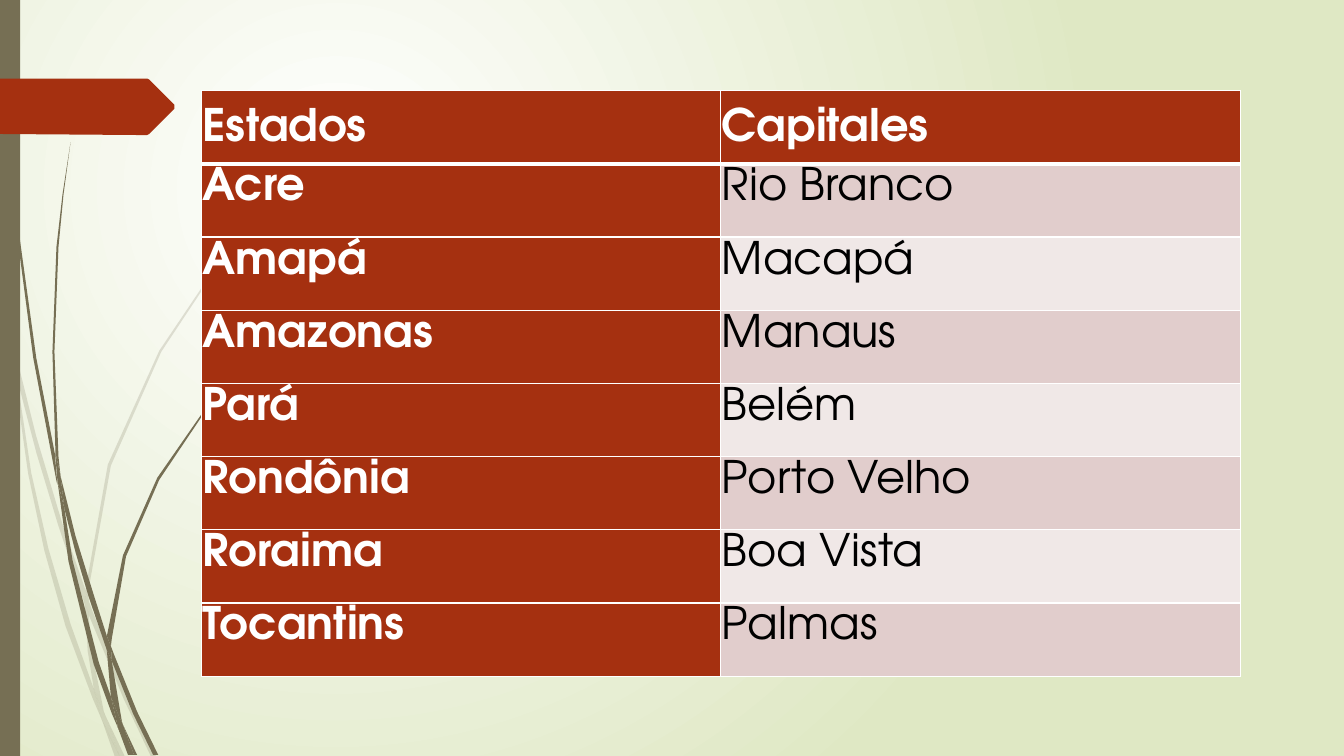
from dataclasses import dataclass
from typing import NamedTuple

from lxml import etree
from pptx import Presentation
from pptx.dml.color import RGBColor
from pptx.enum.shapes import MSO_SHAPE
from pptx.enum.text import MSO_ANCHOR
from pptx.oxml.ns import qn
from pptx.util import Emu, Pt

RECTANGLE = MSO_SHAPE.RECTANGLE
TOP, MIDDLE = MSO_ANCHOR.TOP, MSO_ANCHOR.MIDDLE

# The layout grid: 1333 columns by 750 rows, a hundredth of an inch each
GRID = 9144
COLUMNS, ROWS = 1333, 750


@dataclass(frozen=True)
class Theme:
    font: str = "TeX Gyre Adventor"
    size: int = 32
    line_spacing: float = 1.07
    paragraph_gap: float = 22.5
    glow: str = "FFFFFF"
    backdrop: str = "DFE8C4"
    grass: str = "766F54"
    accent: str = "A53010"
    light: str = "FFFFFF"
    dark: str = "000000"
    bands: tuple[str, str] = ("E1CDCC", "F0E8E7")
    thin: int = 1
    thick: int = 3


class StateRow(NamedTuple):
    state: str
    capital: str


class Grass(NamedTuple):
    opacity: int
    pieces: list


THEME = Theme()

STATES = [
    StateRow("Estados", "Capitales"),
    StateRow("Acre", "Rio Branco"),
    StateRow("Amapá", "Macapá"),
    StateRow("Amazonas", "Manaus"),
    StateRow("Pará", "Belém"),
    StateRow("Rondônia", "Porto Velho"),
    StateRow("Roraima", "Boa Vista"),
    StateRow("Tocantins", "Palmas"),
]

# Outlines of the grass blades, as (column, row) corners
PALE_GRASS = Grass(20, [
    [(11, 350), (9, 322), (0, 282), (0, 299), (10, 344)],
    [(58, 522), (84, 599), (85, 586), (62, 520), (36, 433), (14, 345), (17, 376), (36, 449)],
    [(92, 607), (88, 596), (88, 610), (123, 694), (150, 751), (155, 751), (127, 692)],
    [(119, 751), (124, 751), (105, 711)],
    [(93, 683), (70, 619), (48, 544), (31, 469), (17, 376), (11, 350), (28, 470), (44, 546),
     (65, 621), (92, 693), (101, 714), (99, 707)],
    [(84, 599), (87, 646), (93, 683), (96, 692), (105, 711), (103, 706), (91, 646), (88, 610),
     (88, 608)],
    [(88, 584), (110, 462), (160, 349), (229, 245), (268, 198), (290, 175), (312, 154),
     (312, 153), (289, 175), (268, 197), (228, 244), (158, 348), (107, 461), (85, 584),
     (85, 586), (88, 596)],
    [(101, 714), (114, 751), (119, 751)],
    [(88, 608), (88, 610), (88, 596), (85, 586), (84, 599)],
    [(96, 692), (93, 683), (99, 707), (101, 714), (119, 751), (105, 711)],
])
DARK_GRASS = Grass(100, [
    [(7, 110), (17, 233), (33, 355), (56, 477), (57, 481), (55, 457), (55, 453), (36, 355),
     (19, 232), (8, 109), (5, 48), (4, 0), (3, 0), (4, 48)],
    [(88, 592), (106, 645), (106, 633), (106, 631), (93, 590), (75, 532), (60, 472), (64, 505),
     (75, 548)],
    [(113, 649), (110, 641), (111, 656), (132, 708), (152, 749), (157, 749), (136, 706)],
    [(110, 691), (98, 657), (72, 556), (64, 505), (57, 477), (68, 557), (93, 659), (111, 708),
     (117, 722), (116, 717)],
    [(60, 472), (58, 453), (54, 349), (58, 245), (63, 193), (70, 141), (62, 193), (56, 245),
     (52, 349), (55, 449)],
    [(133, 749), (136, 749), (122, 719)],
    [(57, 477), (64, 505), (60, 472), (55, 449), (55, 453)],
    [(111, 633), (125, 552), (158, 476), (205, 406), (231, 374), (245, 359), (261, 344),
     (260, 344), (245, 358), (231, 373), (204, 405), (156, 474), (122, 551), (106, 631),
     (110, 641)],
    [(117, 722), (127, 749), (131, 749)],
    [(106, 645), (110, 691), (116, 706), (122, 719), (121, 716), (111, 656), (109, 651)],
    [(106, 645), (109, 651), (111, 656), (110, 641), (106, 631), (106, 633)],
    [(116, 706), (110, 691), (116, 717), (117, 722), (130, 749), (133, 749), (122, 719)],
])
BANNER = [(173, 108), (148, 133), (146, 134), (136, 134), (0, 133), (0, 78), (146, 78),
          (148, 79), (173, 104)]


def grid(units: float) -> Emu:
    return Emu(round(units * GRID))


def paint(sp, color: str, opacity: int = 100) -> None:
    sp.shadow.inherit = False
    sp.line.fill.background()
    sp.fill.solid()
    sp.fill.fore_color.rgb = RGBColor.from_string(color)
    if opacity < 100:
        clr = sp.element.spPr.find(f"{qn('a:solidFill')}/{qn('a:srgbClr')}")
        etree.SubElement(clr, qn("a:alpha"), val=str(opacity * 1000))


def draw_outline(shapes, points: list, color: str, opacity: int = 100) -> None:
    builder = shapes.build_freeform(*points[0], scale=GRID)
    builder.add_line_segments(points[1:], close=True)
    paint(builder.convert_to_shape(), color, opacity)


def draw_background(slide) -> None:
    fill = slide.background.fill
    fill.gradient()
    for stop, color in zip(fill.gradient_stops, (THEME.glow, THEME.backdrop)):
        stop.color.rgb = RGBColor.from_string(color)
    grad = next(slide.element.iter(qn("a:gradFill")))
    grad.remove(grad.find(qn("a:lin")))
    circle = etree.SubElement(grad, qn("a:path"), path="circle")
    etree.SubElement(circle, qn("a:fillToRect"), l="50000", t="50000", r="100000", b="100000")


def set_borders(cell, top: int, bottom: int) -> None:
    tc_pr = cell._tc.get_or_add_tcPr()
    widths = {"a:lnL": THEME.thin, "a:lnR": THEME.thin, "a:lnT": top, "a:lnB": bottom}
    for i, (tag, width) in enumerate(widths.items()):
        ln = etree.Element(qn(tag), w=str(Pt(width)))
        solid = etree.SubElement(ln, qn("a:solidFill"))
        etree.SubElement(solid, qn("a:srgbClr"), val=THEME.light)
        tc_pr.insert(i, ln)


def fill_cell(cell, text: str, row: int, col: int) -> None:
    strong = row == 0 or col == 0
    cell.fill.solid()
    cell.fill.fore_color.rgb = RGBColor.from_string(
        THEME.accent if strong else THEME.bands[(row - 1) % 2])
    cell.margin_left = cell.margin_right = cell.margin_top = cell.margin_bottom = grid(1)
    cell.vertical_anchor = MIDDLE if row == 0 else TOP
    set_borders(cell, top=THEME.thick if row == 1 else THEME.thin,
                bottom=THEME.thick if row == 0 else THEME.thin)
    cell.text = text
    p = cell.text_frame.paragraphs[0]
    p.line_spacing = THEME.line_spacing
    p.space_before = p.space_after = Pt(THEME.paragraph_gap)
    p.font.name = THEME.font
    p.font.size = Pt(THEME.size)
    p.font.bold = strong
    p.font.color.rgb = RGBColor.from_string(THEME.light if strong else THEME.dark)


def draw_table(slide, rows: list[StateRow]) -> None:
    frame = slide.shapes.add_table(len(rows), len(StateRow._fields),
                                   grid(200), grid(90), grid(1030), grid(581))
    for r, row in enumerate(rows):
        for c, text in enumerate(row):
            fill_cell(frame.table.cell(r, c), text, r, c)


def main() -> None:
    prs = Presentation()
    prs.slide_width, prs.slide_height = grid(COLUMNS), grid(ROWS)
    slide = prs.slides.add_slide(prs.slide_layouts[6])
    draw_background(slide)

    # Grass on the left
    for grass in (PALE_GRASS, DARK_GRASS):
        group = slide.shapes.add_group_shape()
        for piece in grass.pieces:
            draw_outline(group.shapes, piece, THEME.grass, grass.opacity)

    # Side bar and banner
    paint(slide.shapes.add_shape(RECTANGLE, 0, 0, grid(20), grid(ROWS)), THEME.grass)
    draw_outline(slide.shapes, BANNER, THEME.accent)

    # States and their capitals
    draw_table(slide, STATES)
    prs.save("out.pptx")


if __name__ == "__main__":
    main()
